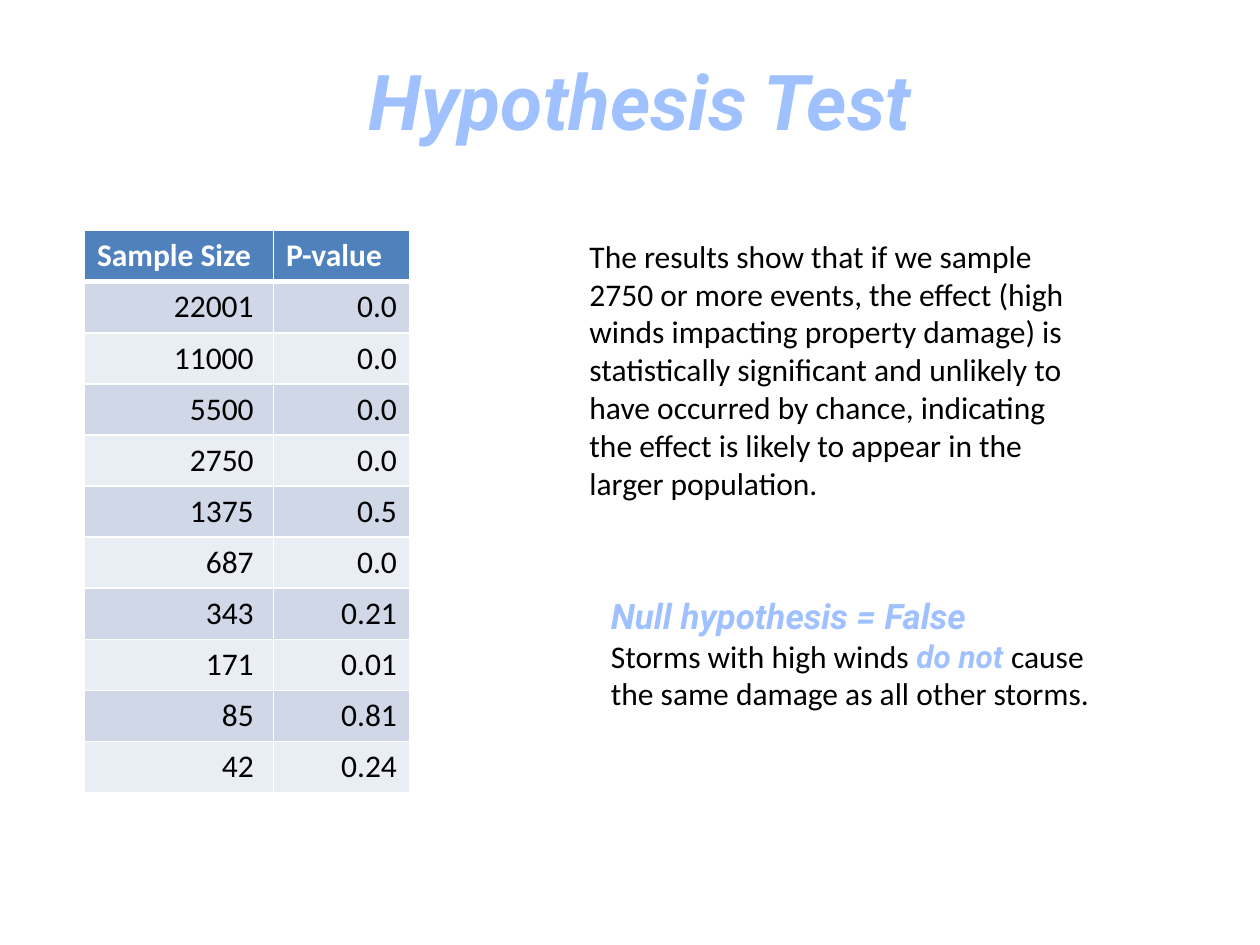
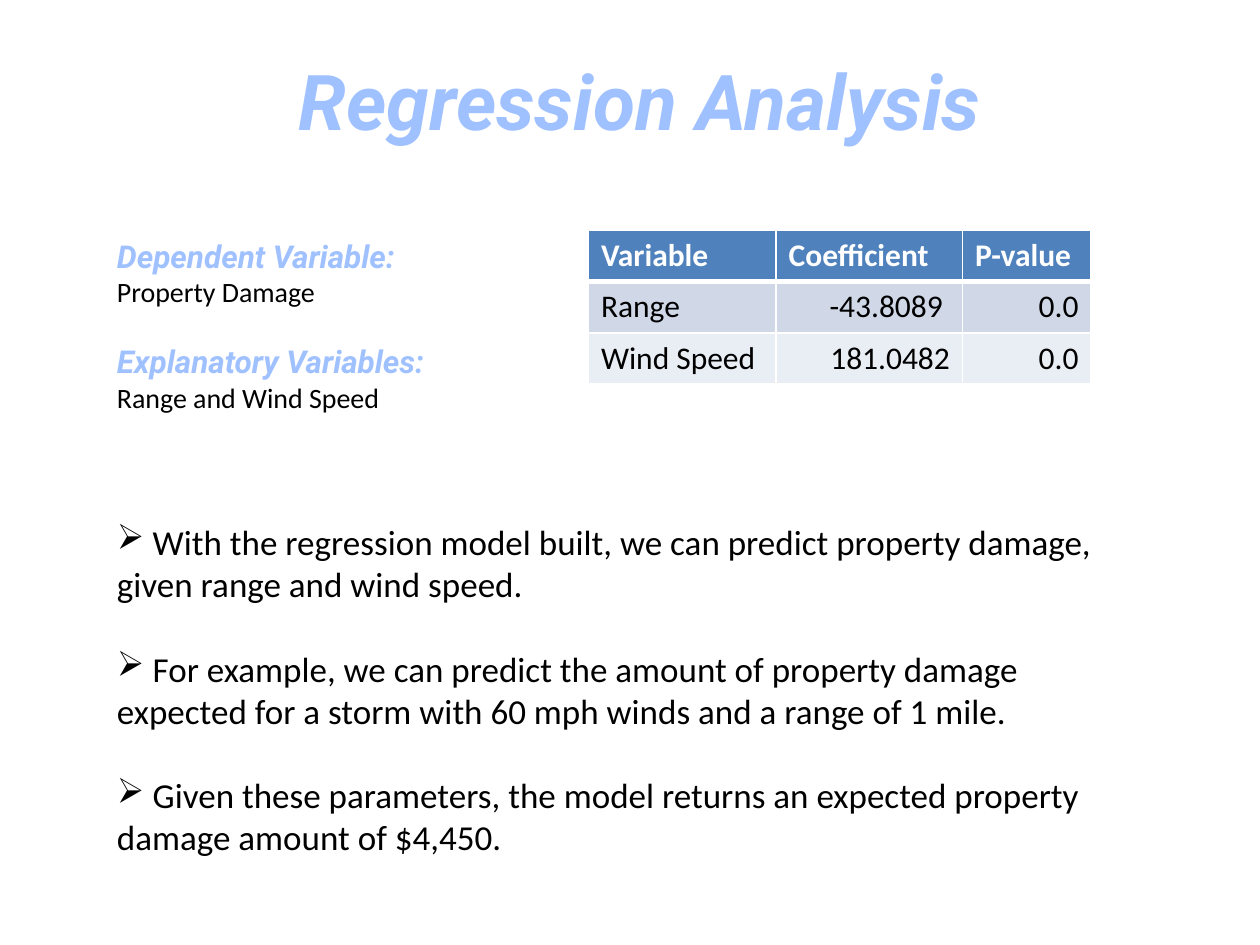
from dataclasses import dataclass

from lxml.etree import SubElement
from pptx import Presentation
from pptx.dml.color import RGBColor
from pptx.enum.text import MSO_ANCHOR, PP_ALIGN
from pptx.oxml import parse_xml
from pptx.oxml.ns import nsdecls, qn
from pptx.util import Inches, Pt


@dataclass(frozen=True)
class Theme:
    """Colours, fonts and type sizes shared by the slides."""
    body: str = "Calibri"
    accent: str = "Roboto"
    ink: str = "000000"
    white: str = "FFFFFF"
    head: str = "4F81BD"
    bands: tuple = ("D0D8E8", "E9EDF4")
    glow: tuple = ((0, "BFD3F9"), (9, "A0C1FF"), (50, "003D85"),
                   (79, "A0C1FF"), (100, "BFD3F9"))
    edge: str = "467AB8"
    title: int = 44
    large: int = 20
    text: int = 18
    small: int = 16
    line: float = 1.22  # line height as a share of the type size


THEME = Theme()
TITLE_BOX = (0.83, 0.25, 8.5, 1.09)
ROW = 0.4
TOP = 1.83

# A paragraph is a list of runs: (text, size, is accent)
TESTS = [
    ("Sample Size", "P-value"),
    ("22001 ", "0.0"), ("11000 ", "0.0"), ("5500 ", "0.0"), ("2750 ", "0.0"),
    ("1375 ", "0.5"), ("687 ", "0.0"), ("343 ", "0.21"), ("171 ", "0.01"),
    ("85 ", "0.81"), ("42 ", "0.24"),
]
RESULT = [[("The results show that if we sample 2750 or more events, the "
            "effect (high winds impacting property damage) is statistically "
            "significant and unlikely to have occurred by chance, indicating "
            "the effect is likely to appear in the larger population.",
            THEME.text, False)]]
VERDICT = [
    [("Null hypothesis = False", THEME.large, True)],
    [("Storms with high winds ", THEME.text, False),
     ("do not ", THEME.text, True),
     ("cause the same damage as all other storms.", THEME.text, False)],
]
MODEL = [
    ("Variable", "Coefficient", "P-value"),
    ("Range", "-43.8089 ", "0.0"),
    ("Wind Speed", "181.0482", "0.0"),
]
ROLES = [
    [("Dependent Variable: ", THEME.text, True)],
    [("Property Damage", THEME.small, False)],
    [("Explanatory Variables: ", THEME.text, True)],
    [("Range and Wind Speed", THEME.small, False)],
]
POINTS = [[(text, THEME.large, False)] for text in (
    " With the regression model built, we can predict property damage, "
    "given range and wind speed.",
    " For example, we can predict the amount of property damage expected "
    "for a storm with 60 mph winds and a range of 1 mile.",
    " Given these parameters, the model returns an expected property "
    "damage amount of $4,450.",
)]

SLIDES = [
    {"title": "Hypothesis Test",
     "table": {"rows": TESTS, "at": (0.67, TOP), "cols": (1.5, 1.08),
               "left": 0},
     "boxes": [
         {"paras": RESULT, "at": (4.58, TOP, 4.08, 2.22)},
         {"paras": VERDICT, "at": (4.75, 4.67, 4.08, 1.04)}]},
    {"title": "Regression Analysis",
     "table": {"rows": MODEL, "at": (4.67, TOP), "cols": (1.49, 1.48, 1.02),
               "left": 1},
     "boxes": [
         {"paras": ROLES, "at": (0.83, TOP, 3.08, 1.51),
          "gap": THEME.small, "every": 2},
         {"paras": POINTS, "at": (0.83, 4.08, 8.25, 3.42),
          "gap": THEME.large, "bullet": "\u27a2"}]},
]


def shine(run):
    """Give a run the accent gradient and its thin outline."""
    stops = "".join(
        f'<a:gs pos="{pos * 1000}"><a:srgbClr val="{color}"/></a:gs>'
        for pos, color in THEME.glow)
    line = (f'<a:ln {nsdecls("a")} w="{Pt(0.83)}"><a:solidFill>'
            f'<a:srgbClr val="{THEME.edge}"/></a:solidFill></a:ln>')
    fill = (f'<a:gradFill {nsdecls("a")}><a:gsLst>{stops}</a:gsLst>'
            '<a:lin ang="5400000" scaled="0"/></a:gradFill>')
    props = run.font._element
    props.insert(0, parse_xml(line))
    props.insert(1, parse_xml(fill))


def write(para, text, size=THEME.text, accent=False, color=THEME.ink,
          bold=False, align=None):
    """Add a formatted run to a paragraph."""
    run = para.add_run()
    run.text = text
    font = run.font
    font.size = Pt(size)
    font.name = THEME.accent if accent else THEME.body
    font.bold = bold or accent
    font.italic = accent
    if accent:
        shine(run)
    else:
        font.color.rgb = RGBColor.from_string(color)
    if align is not None:
        para.alignment = align


def mark(para, sign):
    """Set a bullet sign that sits in line with the text."""
    props = para._p.get_or_add_pPr()
    props.set("marL", "0")
    props.set("indent", "0")
    SubElement(props, qn("a:buChar")).set("char", sign)


def add_box(slide, paras, at, gap=0, every=1, bullet=None):
    """Add a text box, with a blank line's gap before each group."""
    frame = slide.shapes.add_textbox(*map(Inches, at)).text_frame
    frame.word_wrap = True
    for i, runs in enumerate(paras):
        para = frame.add_paragraph() if i else frame.paragraphs[0]
        if gap and i and i % every == 0:
            para.space_before = Pt(round(gap * THEME.line, 1))
        if bullet:
            mark(para, bullet)
        for text, size, accent in runs:
            write(para, text, size=size, accent=accent)


def rule(cell, row):
    """Draw white cell borders, thick below the header row."""
    props = cell._tc.get_or_add_tcPr()
    thick = {("T", 1), ("B", 0)}
    for side in "LRTB":
        width = Pt(3 if (side, row) in thick else 1)
        props.append(parse_xml(
            f'<a:ln{side} {nsdecls("a")} w="{width}"><a:solidFill>'
            f'<a:srgbClr val="{THEME.white}"/></a:solidFill></a:ln{side}>'))


def add_grid(slide, rows, at, cols, left):
    """Add a banded table; the first `left` columns align left."""
    size = (sum(cols), ROW * len(rows))
    grid = slide.shapes.add_table(
        len(rows), len(cols), *map(Inches, at + size)).table
    for col, width in zip(grid.columns, cols):
        col.width = Inches(width)
    for r, row in enumerate(rows):
        head = r == 0
        shade = THEME.head if head else THEME.bands[(r - 1) % 2]
        for c, text in enumerate(row):
            cell = grid.cell(r, c)
            rule(cell, r)
            cell.fill.solid()
            cell.fill.fore_color.rgb = RGBColor.from_string(shade)
            write(cell.text_frame.paragraphs[0], text, bold=head,
                  color=THEME.white if head else THEME.ink,
                  align=PP_ALIGN.LEFT if head or c < left
                  else PP_ALIGN.RIGHT)


def add_title(slide, text):
    """Place and format the title placeholder."""
    title = slide.shapes.title
    title.left, title.top, title.width, title.height = map(Inches, TITLE_BOX)
    frame = title.text_frame
    frame.vertical_anchor = MSO_ANCHOR.MIDDLE
    write(frame.paragraphs[0], text, size=THEME.title, accent=True,
          align=PP_ALIGN.CENTER)


def main():
    """Build and save the deck."""
    deck = Presentation()
    deck.slide_width, deck.slide_height = Inches(10), Inches(7.5)
    for page in SLIDES:
        slide = deck.slides.add_slide(deck.slide_layouts[5])
        add_title(slide, page["title"])
        add_grid(slide, **page["table"])
        for box in page["boxes"]:
            add_box(slide, **box)
    deck.save("out.pptx")


main()
